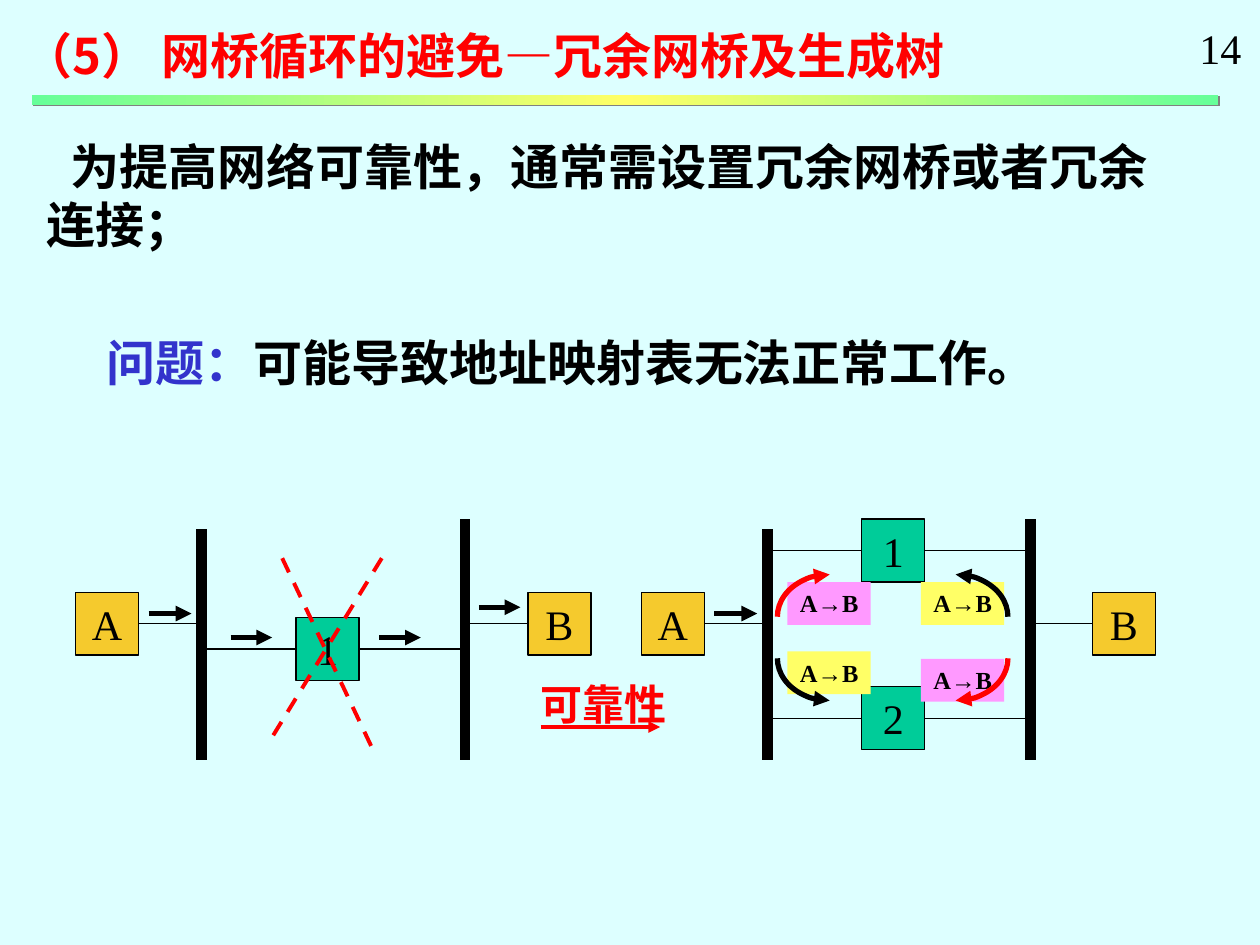
from copy import deepcopy

from lxml.etree import SubElement
from pptx import Presentation
from pptx.dml.color import RGBColor
from pptx.enum.dml import MSO_LINE
from pptx.enum.shapes import MSO_CONNECTOR, MSO_SHAPE as SHAPE
from pptx.enum.text import MSO_ANCHOR as ANCHOR, MSO_AUTO_SIZE as AUTO_SIZE, PP_ALIGN as ALIGN
from pptx.oxml.ns import qn
from pptx.util import Inches, Pt

BLACK = RGBColor(0, 0, 0)
RED = RGBColor(0xFF, 0, 0)
BLUE = RGBColor(0x33, 0x33, 0xCC)
SKY = RGBColor(0xDD, 0xFF, 0xFF)
MINT = RGBColor(0x66, 0xFF, 0x99)
YELLOW = RGBColor(0xFF, 0xFF, 0x66)
PINK = RGBColor(0xFF, 0x99, 0xFF)
TEAL = RGBColor(0, 0xCC, 0x99)
GOLD = RGBColor(0xF5, 0xCA, 0x2D)
HAN_FONT = "Noto Sans CJK SC"
LATIN_FONT = "Times New Roman"


def write(shape, parts, size, han=True, bold=True, wrap=True, align=ALIGN.LEFT, anchor=ANCHOR.TOP):
    """Fill a shape with one paragraph made of (text, colour) parts."""
    frame = shape.text_frame
    frame.word_wrap = wrap
    frame.auto_size = AUTO_SIZE.NONE
    frame.vertical_anchor = anchor
    frame.margin_left = frame.margin_right = Inches(0.1)
    frame.margin_top = Inches(0.1 if han else 0.05)
    frame.margin_bottom = Inches(0.05)
    para = frame.paragraphs[0]
    para.alignment = align
    para.space_before = Pt(0)
    if han:
        para.line_spacing = Pt(round(size * 1.18))
    for text, colour in parts:
        span = para.add_run()
        span.text = text
        span.font.size = Pt(size)
        span.font.bold = bold
        span.font.color.rgb = colour
        span.font.name = HAN_FONT if han else LATIN_FONT
        if han:
            SubElement(span.font._element, qn("a:ea"), typeface=HAN_FONT)
    return para


def draw_line(x1, y1, x2, y2, width=0.75, colour=BLACK, arrow=False, dash=None):
    line = page.shapes.add_connector(
        MSO_CONNECTOR.STRAIGHT, Inches(x1), Inches(y1), Inches(x2), Inches(y2))
    line.line.width = Pt(width)
    line.line.color.rgb = colour
    if dash:
        line.line.dash_style = dash
    if arrow:
        SubElement(line.line._get_or_add_ln(), qn("a:tailEnd"), type="triangle")
    SubElement(line._element.spPr, qn("a:effectLst"))


deck = Presentation()
deck.slide_width, deck.slide_height = Inches(10), Inches(7.5)
page = deck.slides.add_slide(deck.slide_layouts[1])
page.background.fill.solid()
page.background.fill.fore_color.rgb = SKY

# Title, body, question and page number
title, body = page.placeholders
title.left, title.top, title.width, title.height = map(Inches, (0.09, 0.11, 7.75, 0.57))
write(title, [("（5） 网桥循环的避免—冗余网桥及生成树", RED)], 28)

body.left, body.top, body.width, body.height = map(Inches, (0.27, 0.99, 9.17, 1.04))
para = write(body, [("为提高网络可靠性，通常需设置冗余网桥或者冗余连接；", BLACK)], 28)
properties = para._p.get_or_add_pPr()
properties.set("marL", "0")
properties.set("indent", str(Inches(0.19)))
SubElement(properties, qn("a:buNone"))

question = page.shapes.add_textbox(*map(Inches, (0.75, 2.55, 8.69, 0.57)))
write(question, [("问题：", BLUE), ("可能导致地址映射表无法正常工作。", BLACK)], 28)

number = page.shapes.add_textbox(*map(Inches, (9.42, 0.13, 0.53, 0.5)))
write(number, [("14", BLACK)], 24, han=False, bold=False, wrap=False)

# Gradient rule under the title
rule = page.shapes.add_shape(SHAPE.RECTANGLE, *map(Inches, (0.25, 0.75, 9.42, 0.08)))
rule.line.fill.background()
rule.fill.gradient()
rule.fill.gradient_angle = 0
first_stop = rule._element.spPr.find(".//" + qn("a:gs"))
first_stop.addnext(deepcopy(first_stop))
for stop, position, colour in zip(rule.fill.gradient_stops, (0, 0.5, 1), (MINT, YELLOW, MINT)):
    stop.position = position
    stop.color.rgb = colour
effects = SubElement(rule._element.spPr, qn("a:effectLst"))
shadow = SubElement(effects, qn("a:outerShdw"), dist=str(Pt(1.4)), dir="2700000")
SubElement(shadow, qn("a:srgbClr"), val="808080")

# Both networks: two LAN segments with a host on each side
for x in (0.6, 5.09):
    left_bus, right_bus = x + 1, x + 3.09
    draw_line(left_bus, 4.2, left_bus, 6.03, 6)
    draw_line(right_bus, 4.12, right_bus, 6.03, 6)
    draw_line(x + 0.5, 4.95, left_bus, 4.95)
    draw_line(right_bus, 4.95, x + 3.59, 4.95)
    draw_line(x + 0.58, 4.87, x + 0.92, 4.87, 3, arrow=True)

# Bridges wired to the segments on either side
for x, y in ((2.35, 5.15), (6.84, 4.37), (6.84, 5.7)):
    draw_line(x - 0.75, y, x, y)
    draw_line(x + 0.5, y, x + 1.34, y)

nodes = [
    ("A", 0.6, 4.7, GOLD), ("B", 4.19, 4.7, GOLD), ("A", 5.09, 4.7, GOLD), ("B", 8.67, 4.7, GOLD),
    ("1", 2.35, 4.9, TEAL), ("1", 6.84, 4.12, TEAL), ("2", 6.84, 5.45, TEAL),
]
for name, x, y, colour in nodes:
    node = page.shapes.add_shape(SHAPE.RECTANGLE, Inches(x), Inches(y), Inches(0.5), Inches(0.5))
    node.shadow.inherit = False
    node.fill.solid()
    node.fill.fore_color.rgb = colour
    node.line.color.rgb = BLACK
    node.line.width = Pt(0.75)
    write(node, [(name, BLACK)], 24, han=False, bold=False, wrap=False,
          align=ALIGN.CENTER, anchor=ANCHOR.MIDDLE)

# Left network: frame path and the failed bridge
for x, y in ((1.83, 5.06), (3.01, 5.06), (3.8, 4.82)):
    draw_line(x, y, x + 0.33, y, 3, arrow=True)
draw_line(2.24, 4.43, 2.95, 5.93, 2.25, RED, dash=MSO_LINE.DASH)
draw_line(3.03, 4.43, 2.16, 5.85, 2.25, RED, dash=MSO_LINE.DASH)

reliability = page.shapes.add_textbox(*map(Inches, (4.19, 5.3, 1.2, 0.5)))
write(reliability, [("可靠性", RED)], 24, wrap=False)
draw_line(4.29, 5.77, 5.24, 5.77, 2.25, RED, arrow=True)

# Right network: frames looping through both bridges
for x, y, colour in ((7.31, 5.23, PINK), (6.25, 4.62, PINK), (7.31, 4.62, YELLOW), (6.25, 5.17, YELLOW)):
    frame_label = page.shapes.add_textbox(Inches(x), Inches(y), Inches(0.66), Inches(0.34))
    frame_label.fill.solid()
    frame_label.fill.fore_color.rgb = colour
    write(frame_label, [("A→B", BLACK)], 14, han=False, wrap=False)

turns = [
    (7.17, 4.89, 0, RED, "a:tailEnd"), (6.17, 4.89, 90, BLACK, "a:headEnd"),
    (6.17, 4.56, 180, RED, "a:tailEnd"), (7.17, 4.56, 270, BLACK, "a:headEnd"),
]
for x, y, start, colour, arrow_end in turns:
    turn = page.shapes.add_shape(SHAPE.ARC, Inches(x), Inches(y), Inches(0.83), Inches(0.67))
    turn.shadow.inherit = False
    turn.adjustments[0] = start * 0.6  # 60000 units a degree, scaled by 100000
    turn.adjustments[1] = (start + 90) % 360 * 0.6
    turn.fill.background()
    turn.line.color.rgb = colour
    turn.line.width = Pt(3)
    SubElement(turn.line._get_or_add_ln(), qn(arrow_end), type="triangle")

deck.save("out.pptx")
